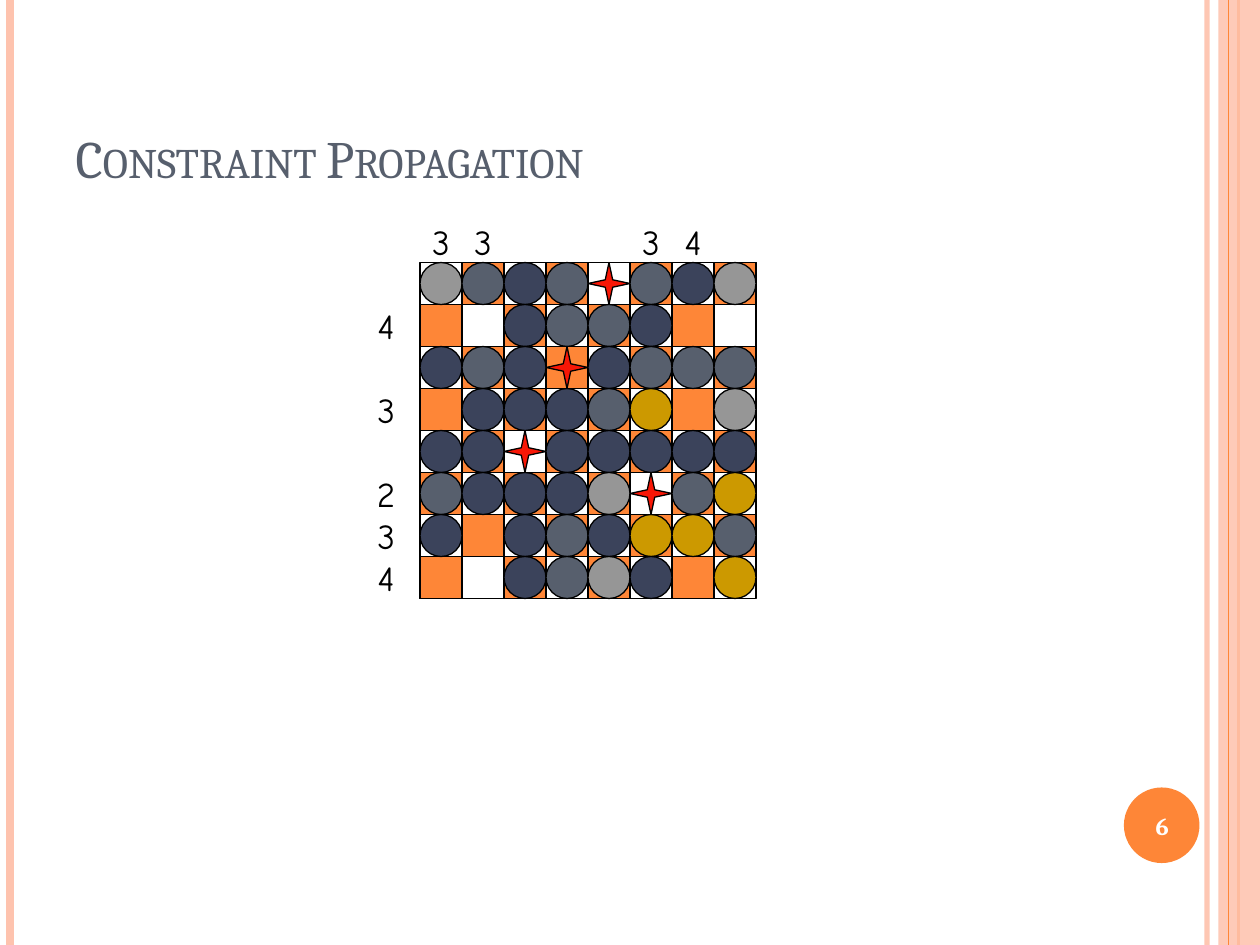
"""Build the constraint propagation slide with its eight-by-eight board."""
from lxml.etree import SubElement
from pptx import Presentation
from pptx.dml.color import RGBColor
from pptx.enum.shapes import MSO_CONNECTOR, MSO_SHAPE
from pptx.enum.text import MSO_ANCHOR, PP_ALIGN
from pptx.oxml.ns import qn
from pptx.util import Inches, Pt

ORANGE = RGBColor(0xFE, 0x86, 0x37)
PEACH = RGBColor(0xFE, 0xC3, 0xAE)
NAVY = RGBColor(0x3B, 0x43, 0x5B)
SLATE = RGBColor(0x57, 0x5F, 0x6D)
GREY = RGBColor(0x96, 0x96, 0x96)
GOLD = RGBColor(0xCC, 0x99, 0x00)
RED = RGBColor(0xF8, 0x17, 0x06)
BLACK = RGBColor(0, 0, 0)
WHITE = RGBColor(0xFF, 0xFF, 0xFF)

TITLE = "Constraint Propagation"
PAGE_NUMBER = "6"
BOARD = [
    "GSNS*SNG",
    "..NSSN..",
    "NSN*NSSS",
    ".NNNSY.G",
    "NN*NNNNN",
    "SNNNG*SY",
    "N.NSNYYS",
    "..NSGN.Y",
]
PIECES = {
    "N": (MSO_SHAPE.OVAL, NAVY),
    "S": (MSO_SHAPE.OVAL, SLATE),
    "G": (MSO_SHAPE.OVAL, GREY),
    "Y": (MSO_SHAPE.OVAL, GOLD),
    "*": (MSO_SHAPE.STAR_4_POINT, RED),
}
ROW_COUNTS = {1: "4", 3: "3", 5: "2", 6: "3", 7: "4"}
COLUMN_COUNTS = {0: "3", 1: "3", 5: "3", 6: "4"}
STRIPES = [(9.58, PEACH, 3, 93), (0.08, PEACH, 4.5, 100), (9.83, ORANGE, 1.5, 100)]
EDGE_STRIPE = (9.75, ORANGE, 0.75, 100)

WIDTH, HEIGHT = 10, 7.5
CELL = 1 / 3
SIZE = len(BOARD)
LEFT, TOP = 10 * CELL, 6.25 * CELL


def set_alpha(fill, percent):
    color = fill._xPr.find(qn("a:solidFill"))[0]
    SubElement(color, qn("a:alpha")).set("val", str(percent * 1000))


def add_stripe(page, x, color, width, alpha):
    stripe = page.shapes.add_connector(
        MSO_CONNECTOR.STRAIGHT, Inches(x), 0, Inches(x), Inches(HEIGHT))
    stripe.line.color.rgb = color
    stripe.line.width = Pt(width)
    if alpha < 100:
        set_alpha(stripe.line.fill, alpha)
    SubElement(stripe._element.spPr, qn("a:effectLst"))


def add_figure(page, kind, place, fill=None, line=None):
    figure = page.shapes.add_shape(kind, *map(Inches, place))
    figure.shadow.inherit = False
    if fill is None:
        figure.fill.background()
    else:
        figure.fill.solid()
        figure.fill.fore_color.rgb = fill
    if line is None:
        figure.line.fill.background()
    else:
        figure.line.color.rgb = line
        figure.line.width = Pt(0.75)
    return figure


def add_text_frame(page, place):
    frame = page.shapes.add_textbox(*map(Inches, place)).text_frame
    frame.word_wrap = True
    frame.vertical_anchor = MSO_ANCHOR.MIDDLE
    frame.margin_left = frame.margin_right = frame.margin_top = frame.margin_bottom = 0
    return frame


def add_span(para, text, font, size, color, bold=False):
    span = para.add_run()
    span.text = text
    span.font.name = font
    span.font.size = Pt(size)
    span.font.bold = bold
    span.font.color.rgb = color
    return span


def add_frame(page):
    for stripe in STRIPES:
        add_stripe(page, *stripe)
    band = add_figure(page, MSO_SHAPE.RECTANGLE, (9.67, 0, 0.33, HEIGHT), PEACH)
    set_alpha(band.fill, 87)
    add_stripe(page, *EDGE_STRIPE)
    add_figure(page, MSO_SHAPE.OVAL, (8.92, 6.25, 0.6, 0.6), ORANGE)
    para = add_text_frame(page, (8.89, 6.27, 0.67, 0.57)).paragraphs[0]
    para.alignment = PP_ALIGN.CENTER
    add_span(para, PAGE_NUMBER, "Cambria", 14, WHITE, bold=True)


def add_title(page):
    title = page.shapes.title
    title.left, title.top, title.width, title.height = map(Inches, (0.5, 0.3, 8.17, 1.25))
    title.text_frame.vertical_anchor = MSO_ANCHOR.BOTTOM
    para = title.text_frame.paragraphs[0]
    para.alignment = PP_ALIGN.LEFT
    span = add_span(para, TITLE, "Cambria", 30, SLATE)
    span.font._element.set("cap", "small")


def add_board(page):
    side = SIZE * CELL
    add_figure(page, MSO_SHAPE.RECTANGLE, (LEFT, TOP, side, side), line=BLACK)
    places = {(row, column): (LEFT + column * CELL, TOP + row * CELL, CELL, CELL)
              for row in range(SIZE) for column in range(SIZE)}
    for (row, column), place in places.items():
        if (row + column) % 2:
            add_figure(page, MSO_SHAPE.RECTANGLE, place, ORANGE, BLACK)
    for (row, column), place in places.items():
        if BOARD[row][column] in PIECES:
            kind, color = PIECES[BOARD[row][column]]
            piece = add_figure(page, kind, place, color, BLACK)
            if kind == MSO_SHAPE.STAR_4_POINT:
                piece.adjustments[0] = 0.125


def add_row_counts(page):
    first = min(ROW_COUNTS)
    frame = add_text_frame(page, (2.9, TOP + first * CELL, 0.33, (SIZE - first) * CELL))
    frame.vertical_anchor = MSO_ANCHOR.TOP
    previous = first - 1
    for row, count in ROW_COUNTS.items():
        para = frame.paragraphs[0] if row == first else frame.add_paragraph()
        para.alignment = PP_ALIGN.CENTER
        para.line_spacing = Inches(CELL)
        para.space_before = Inches((row - previous - 1) * CELL)
        add_span(para, count, "Comic Neue", 20, BLACK)
        previous = row


def add_column_counts(page):
    para = add_text_frame(page, (LEFT, 1.75, SIZE * CELL, CELL)).paragraphs[0]
    tabs = SubElement(para._p.get_or_add_pPr(), qn("a:tabLst"))
    for column, count in COLUMN_COUNTS.items():
        tab = SubElement(tabs, qn("a:tab"))
        tab.set("pos", str(Inches((column + 0.5) * CELL)))
        tab.set("algn", "ctr")
        add_span(para, "\t" + count, "Comic Neue", 20, BLACK)


def main():
    deck = Presentation()
    deck.slide_width, deck.slide_height = Inches(WIDTH), Inches(HEIGHT)
    page = deck.slides.add_slide(deck.slide_layouts[5])
    add_frame(page)
    add_title(page)
    add_board(page)
    add_row_counts(page)
    add_column_counts(page)
    deck.save("out.pptx")


if __name__ == "__main__":
    main()
